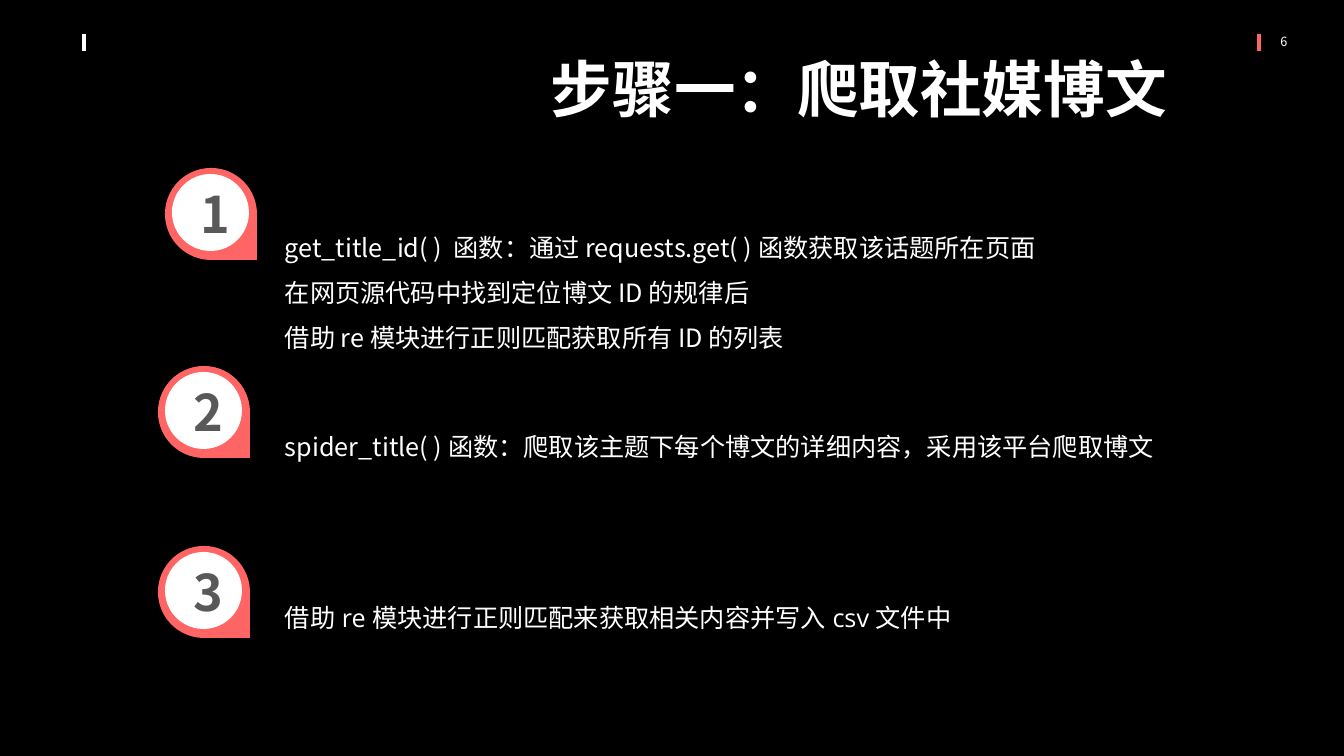
import pptx
import pptx.util
import pptx.oxml
import pptx.dml.color
import pptx.enum.shapes
import pptx.enum.text

PX = 12192000 / 1344
RGB = pptx.dml.color.RGBColor
WHITE = RGB(0xFF, 0xFF, 0xFF)
BLACK = RGB(0x00, 0x00, 0x00)
CORAL = RGB(0xFF, 0x65, 0x65)
GREY = RGB(0x59, 0x59, 0x59)
NOTO = "Noto Sans CJK SC"
KIND = pptx.enum.shapes.MSO_SHAPE
ALIGN = pptx.enum.text.PP_ALIGN
MID = pptx.enum.text.MSO_ANCHOR.MIDDLE
GROW = pptx.enum.text.MSO_AUTO_SIZE.SHAPE_TO_FIT_TEXT


def emu(*nums):
    """Turn px lengths into EMU."""
    return [round(n * PX) for n in nums]


def write(area, lines, size, color=WHITE, bold=False, face=NOTO,
          align=ALIGN.LEFT, gap=1.0, wrap=True):
    """Add a text box with one paragraph per line and return its frame."""
    frame = slide.shapes.add_textbox(*emu(*area)).text_frame
    frame.word_wrap = wrap
    frame.auto_size = GROW
    for i, line in enumerate(lines):
        para = frame.paragraphs[0] if i == 0 else frame.add_paragraph()
        para.alignment = align
        para.line_spacing = gap
        run = para.add_run()
        run.text = line
        font = run.font
        font.name, font.size, font.bold = face, pptx.util.Pt(size), bold
        font.color.rgb = color
        east = pptx.oxml.parse_xml(
            '<a:ea xmlns:a="http://schemas.openxmlformats.org/drawingml/2006/main"'
            f' typeface="{face}"/>')
        run._r.get_or_add_rPr().append(east)
    return frame


deck = pptx.Presentation()
deck.slide_width, deck.slide_height = emu(1344, 756)
slide = deck.slides.add_slide(deck.slide_layouts[6])
slide.background.fill.solid()
slide.background.fill.fore_color.rgb = BLACK

# Header: page number, two ticks and the title
page = write((1259, 29, 50, 25), ["6"], 9, align=ALIGN.CENTER)
page.vertical_anchor = MID
for x, color in ((84, WHITE), (1259, CORAL)):
    tick = slide.shapes.add_connector(
        pptx.enum.shapes.MSO_CONNECTOR.STRAIGHT, *emu(x, 34, x, 51))
    tick.line.color.rgb = color
    tick.line.width = pptx.util.Pt(2.25)
    tick._element.spPr.append(pptx.oxml.parse_xml(
        '<a:effectLst xmlns:a="http://schemas.openxmlformats.org/drawingml/2006/main"/>'))
write((541, 46, 716, 85), ["步骤一：爬取社媒博文"], 44, bold=True)

# Steps
write((275, 212, 1048, 142),
      ["get_title_id( )  函数：通过 requests.get( ) 函数获取该话题所在页面",
       "在网页源代码中找到定位博文 ID 的规律后",
       "借助 re 模块进行正则匹配获取所有 ID 的列表"], 18, gap=1.5)
write((275, 411, 1033, 50),
      ["spider_title( ) 函数：爬取该主题下每个博文的详细内容，采用该平台爬取博文"],
      18, gap=1.5)
last = write((275, 597, 725, 40),
             ["借助 re 模块进行正则匹配来获取相关内容并写入 csv 文件中"],
             18, face="Open Sans", wrap=False)
last.vertical_anchor = MID

# Numbered pins: disc, square corner, white face, digit
parts = ((KIND.OVAL, 0, 0, 92, CORAL),
         (KIND.RECTANGLE, 44, 44, 48, CORAL),
         (KIND.OVAL, 7, 6, 77, WHITE))
for num, (x, y) in enumerate(((165, 168), (158, 366), (158, 546)), 1):
    for kind, dx, dy, side, color in parts:
        part = slide.shapes.add_shape(kind, *emu(x + dx, y + dy, side, side))
        part.shadow.inherit = False
        part.fill.solid()
        part.fill.fore_color.rgb = color
        part.line.fill.background()
    write((x + 26, y + 10, 35, 72), [str(num)], 36, GREY, True,
          align=ALIGN.CENTER)

deck.save("out.pptx")
